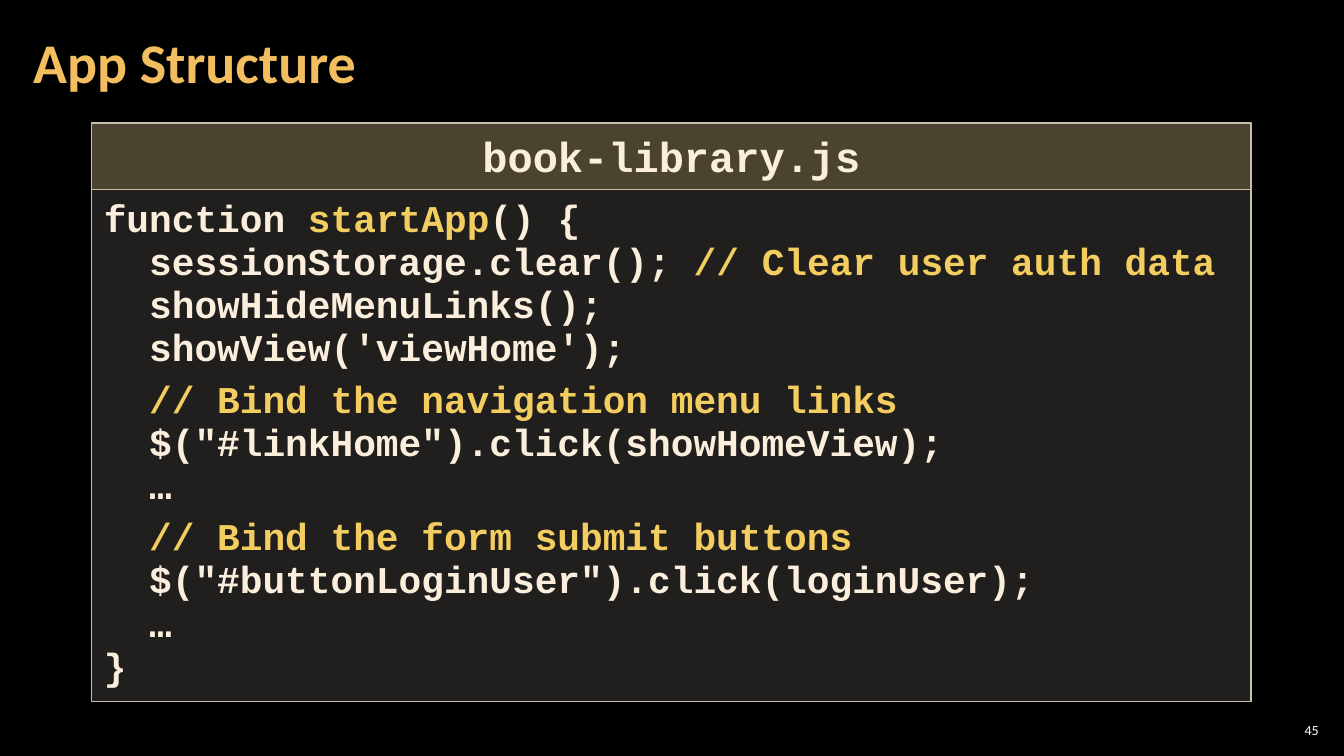
from dataclasses import dataclass

from lxml import etree
from pptx import Presentation
from pptx.dml.color import RGBColor
from pptx.enum import shapes, text
from pptx.oxml import ns
from pptx.util import Inches, Pt


@dataclass(frozen=True)
class Theme:
    background: str = "000000"
    title: str = "F3BE60"
    code: str = "FBEEDC"
    accent: str = "F3CD60"
    border: str = "C7BFAC"
    header_fill: str = "F8E19F"
    code_fill: str = "D9D5C7"
    number: str = "FFFFFF"
    title_size: int = 40
    header_size: int = 30
    code_size: int = 27
    number_size: int = 10
    body_font: str = "Calibri"
    code_font: str = "Courier New"


THEME = Theme()

# Each line: space before in points, then (text, colour) pieces
CODE = [
    (0, [("function ", THEME.code), ("startApp", THEME.accent), ("() {", THEME.code)]),
    (0, [("  sessionStorage.clear();", THEME.code),
         (" // Clear user auth data", THEME.accent)]),
    (0, [("  showHideMenuLinks();", THEME.code)]),
    (0, [("  showView('viewHome');", THEME.code)]),
    (6, [("  // Bind the navigation menu links", THEME.accent)]),
    (0, [('  $("#linkHome").click(showHomeView);', THEME.code)]),
    (0, [("  …", THEME.code)]),
    (6, [("  // Bind the form submit buttons", THEME.accent)]),
    (0, [('  $("#buttonLoginUser").click(loginUser);', THEME.code)]),
    (0, [("  …", THEME.code)]),
    (0, [("}", THEME.code)]),
]


def rgb(value):
    return RGBColor.from_string(value)


def set_frame(tf, anchor, inset_x, inset_y):
    tf.word_wrap = True
    tf.vertical_anchor = anchor
    tf.margin_left = tf.margin_right = Inches(inset_x)
    tf.margin_top = tf.margin_bottom = Inches(inset_y)


def write_paragraph(p, pieces, font, size, bold=True, align=text.PP_ALIGN.LEFT,
                    spacing=1.0, before=0):
    p.alignment = align
    p.line_spacing = spacing
    if before:
        p.space_before = Pt(before)
    p.font.name = font
    p.font.size = Pt(size)
    p.font.bold = bold
    for content, color in pieces:
        r = p.add_run()
        r.text = content
        r.font.color.rgb = rgb(color)


def add_label(s, box, inset_x, content, color, size, **style):
    sp = s.shapes.add_textbox(*map(Inches, box))
    set_frame(sp.text_frame, text.MSO_ANCHOR.MIDDLE, inset_x, 0.04)
    write_paragraph(sp.text_frame.paragraphs[0], [(content, color)],
                    THEME.body_font, size, **style)


def add_panel(s, top, height, fill, opacity):
    """Add a translucent bordered rectangle and return its text frame."""
    sp = s.shapes.add_shape(shapes.MSO_SHAPE.RECTANGLE, Inches(0.91), Inches(top),
                            Inches(11.5), Inches(height))
    sp.shadow.inherit = False
    sp.fill.solid()
    sp.fill.fore_color.rgb = rgb(fill)
    color = sp.fill._xPr.find(ns.qn("a:solidFill"))[0]
    etree.SubElement(color, ns.qn("a:alpha")).set("val", str(opacity * 1000))
    sp.line.color.rgb = rgb(THEME.border)
    sp.line.width = Pt(1)
    set_frame(sp.text_frame, text.MSO_ANCHOR.TOP, 0.12, 0.08)
    sp.text_frame.auto_size = text.MSO_AUTO_SIZE.SHAPE_TO_FIT_TEXT
    return sp.text_frame


def add_code(tf, lines):
    for i, (before, pieces) in enumerate(lines):
        p = tf.add_paragraph() if i else tf.paragraphs[0]
        write_paragraph(p, pieces, THEME.code_font, THEME.code_size,
                        spacing=0.95, before=before)


def main():
    prs = Presentation()
    prs.slide_width, prs.slide_height = Inches(13.33), Inches(7.5)
    s = prs.slides.add_slide(prs.slide_layouts[6])
    s.background.fill.solid()
    s.background.fill.fore_color.rgb = rgb(THEME.background)

    add_label(s, (12.65, 7.14, 0.47, 0.21), 0.04, "45", THEME.number,
              THEME.number_size, bold=False, align=text.PP_ALIGN.RIGHT)
    add_label(s, (0.21, 0.04, 10.47, 1.21), 0.12, "App Structure", THEME.title,
              THEME.title_size, spacing=0.9)

    header = add_panel(s, 1.22, 0.66, THEME.header_fill, 30)
    write_paragraph(header.paragraphs[0], [("book-library.js", THEME.code)],
                    THEME.code_font, THEME.header_size, align=text.PP_ALIGN.CENTER)
    add_code(add_panel(s, 1.88, 5.08, THEME.code_fill, 15), CODE)

    prs.save("out.pptx")


if __name__ == "__main__":
    main()
